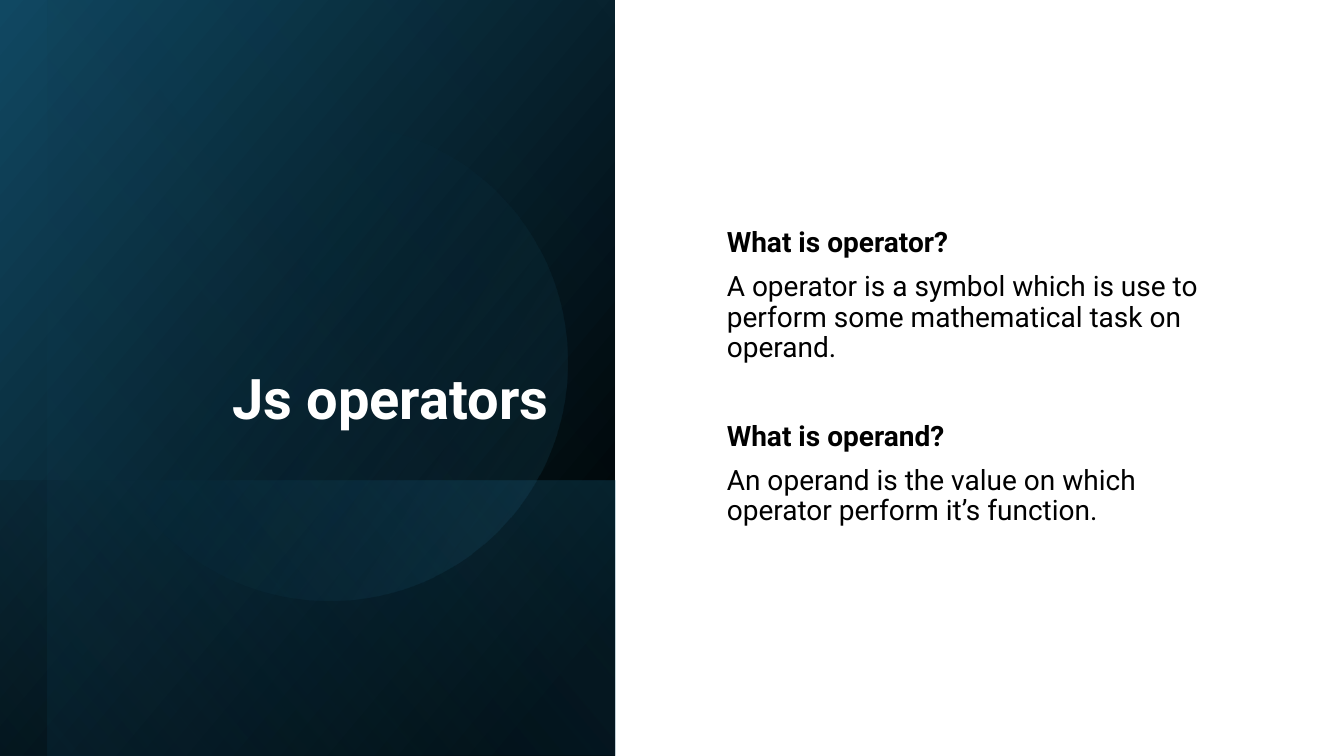
from dataclasses import dataclass

from lxml.etree import SubElement
from pptx import Presentation
from pptx.dml.color import RGBColor
from pptx.enum.shapes import MSO_SHAPE as Shape
from pptx.enum.text import MSO_ANCHOR as Anchor, PP_ALIGN as Align
from pptx.oxml.ns import qn
from pptx.util import Inches, Pt

SLIDE_W, SLIDE_H = 13.33, 7.5


@dataclass(frozen=True)
class Theme:
    font: str = "Roboto"
    black: str = "000000"
    white: str = "FFFFFF"
    navy: str = "104862"
    teal: str = "156082"
    sky: str = "46B1E1"
    title_size: int = 40
    body_size: int = 20
    line_spacing: float = 0.9
    paragraph_gap: int = 10
    section_gap: int = 42


THEME = Theme()


def add_gradient(slide, kind, box, stops, angle, rotation=90, flip=True):
    """Place a turned shape by its centre; stops are (percent, colour, opacity)."""
    left, top, width, height = box
    # A quarter turn swaps the sides of the box it covers
    across, down = height, width
    shape = slide.shapes.add_shape(
        kind,
        Inches(left + (width - across) / 2), Inches(top + (height - down) / 2),
        Inches(across), Inches(down))
    shape.shadow.inherit = False
    shape.line.fill.background()
    shape.rotation = rotation
    properties = shape._element.spPr
    if flip:
        properties.find(qn("a:xfrm")).set("flipH", "1")

    shape.fill.gradient()
    shape.fill.gradient_angle = 360 - angle
    for stop, (position, color, _) in zip(shape.fill.gradient_stops, stops):
        stop.position = position / 100
        stop.color.rgb = RGBColor.from_string(color)
    colors = properties.find(qn("a:gradFill")).iter(qn("a:srgbClr"))
    for color, (_, _, opacity) in zip(colors, stops):
        if opacity < 100:
            SubElement(color, qn("a:alpha")).set("val", str(opacity * 1000))


def add_text(slide, box, paragraphs, size, color, anchor, align=Align.LEFT):
    """Write paragraphs given as (text, bold, space before)."""
    frame = slide.shapes.add_textbox(*map(Inches, box)).text_frame
    frame.word_wrap = True
    frame.vertical_anchor = anchor
    for index, (text, bold, gap) in enumerate(paragraphs):
        paragraph = frame.paragraphs[0] if index == 0 else frame.add_paragraph()
        paragraph.alignment = align
        paragraph.line_spacing = THEME.line_spacing
        paragraph.space_before = Pt(gap)
        run = paragraph.add_run()
        run.text = text
        run.font.name = THEME.font
        run.font.size = Pt(size)
        run.font.bold = bold
        run.font.color.rgb = RGBColor.from_string(color)


def title_panel(slide, box):
    left, top, width, height = box
    t = THEME
    # Dark base
    add_gradient(slide, Shape.RECTANGLE, box,
                 [(8, t.black, 100), (100, t.navy, 100)], 50)
    # Lower band
    band = height * 0.365
    add_gradient(slide, Shape.RECTANGLE, (left, top + height - band, width, band),
                 [(2, t.teal, 29), (100, t.black, 30)], 130)
    # Inner veil, flush with the right edge
    veil = width * 0.923
    add_gradient(slide, Shape.RECTANGLE, (left + width - veil, top, veil, height),
                 [(0, t.black, 0), (99, t.teal, 11)], 130)
    # Glowing disc
    disc = height * 0.63
    inset = width * 0.148
    add_gradient(slide, Shape.OVAL, (left + inset, top + height * 0.164, disc, disc),
                 [(39, t.teal, 0), (100, t.sky, 15)], 290, rotation=101.6, flip=False)
    # Title
    add_text(slide, (left + inset, top + height * 0.085, width * 0.76, height * 0.493),
             [("Js operators", True, 0)], t.title_size, t.white,
             Anchor.BOTTOM, Align.RIGHT)


def definitions(slide, box):
    sections = [
        ("What is operator?",
         "A operator is a symbol which is use to perform some mathematical task on operand."),
        ("What is operand?",
         "An operand is the value on which operator perform it’s function."),
    ]
    paragraphs = []
    for question, answer in sections:
        gap = THEME.section_gap if paragraphs else THEME.paragraph_gap
        paragraphs += [(question, True, gap), (answer, False, THEME.paragraph_gap)]
    add_text(slide, box, paragraphs, THEME.body_size, THEME.black, Anchor.MIDDLE)


def main():
    deck = Presentation()
    deck.slide_width, deck.slide_height = Inches(SLIDE_W), Inches(SLIDE_H)
    slide = deck.slides.add_slide(deck.slide_layouts[6])
    panel_width = 6.1
    title_panel(slide, (0, 0, panel_width, SLIDE_H))
    definitions(slide, (panel_width + 1.01, 0.71, SLIDE_W * 0.4, SLIDE_H * 0.81))
    deck.save("out.pptx")


if __name__ == "__main__":
    main()
